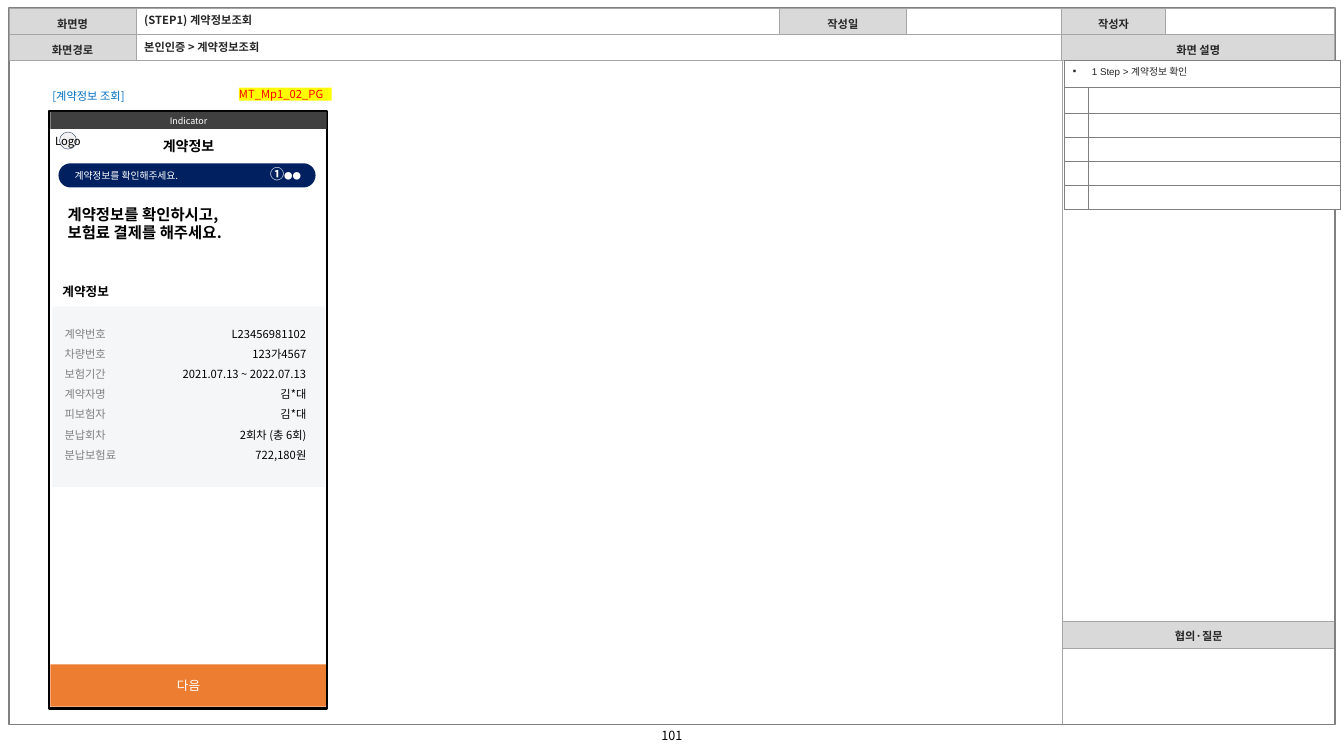
from lxml.etree import SubElement, fromstring
from pptx import Presentation
from pptx.dml.color import RGBColor
from pptx.enum.shapes import MSO_SHAPE
from pptx.enum.text import MSO_ANCHOR, MSO_AUTO_SIZE, PP_ALIGN
from pptx.oxml.ns import nsdecls, qn
from pptx.util import Inches, Pt

COLORS = {
    "white": "FFFFFF", "black": "000000", "ink": "262626", "header": "D9D9D9",
    "grid": "A6A6A6", "gray": "808080", "navy": "002060", "panel": "F5F6F8",
    "link": "0070C0", "orange": "ED7D31", "bar": "404040", "logo": "F2F2F2",
    "logo_line": "1E3256", "yellow": "FFFF00", "red": "FF0000",
}
FONT = "Noto Sans CJK KR"
CONTRACT = [
    ("계약번호", "L23456981102"),
    ("차량번호", "123가4567"),
    ("보험기간", "2021.07.13 ~ 2022.07.13"),
    ("계약자명", "김*대"),
    ("피보험자", "김*대"),
    ("분납회차", "2회차 (총 6회)"),
    ("분납보험료", "722,180원"),
]


def rgb(name):
    return RGBColor.from_string(COLORS[name])


def write_text(frame, text, size=8, color="black", bold=False, font=FONT,
               align=PP_ALIGN.LEFT, anchor=MSO_ANCHOR.TOP, wrap=False,
               margins=(0, 0, 0, 0), spacing=None, after=0, tail=None):
    frame.auto_size = MSO_AUTO_SIZE.NONE
    frame.word_wrap = wrap
    frame.vertical_anchor = anchor
    frame.margin_left, frame.margin_top, frame.margin_right, frame.margin_bottom = map(Inches, margins)
    for index, line in enumerate(text.split("\n")):
        paragraph = frame.paragraphs[0] if index == 0 else frame.add_paragraph()
        paragraph.alignment = align
        paragraph.space_after = Pt(after)
        if spacing:
            paragraph.line_spacing = spacing
        for words, points in [(line, size)] + ([tail] if tail else []):
            run = paragraph.add_run()
            run.text = words
            run.font.name, run.font.size, run.font.bold = font, Pt(points), bold
            run.font.color.rgb = rgb(color)
            SubElement(run._r.get_or_add_rPr(), qn("a:ea"), typeface=FONT)


def add_label(slide, left, top, width, height, text, **style):
    box = slide.shapes.add_textbox(*map(Inches, (left, top, width, height)))
    write_text(box.text_frame, text, **style)


def add_box(slide, left, top, width, height, fill=None, line=None, weight=1,
            kind=MSO_SHAPE.RECTANGLE, text=None, **style):
    shape = slide.shapes.add_shape(kind, *map(Inches, (left, top, width, height)))
    shape.shadow.inherit = False
    if fill:
        shape.fill.solid()
        shape.fill.fore_color.rgb = rgb(fill)
    else:
        shape.fill.background()
    if line:
        shape.line.color.rgb = rgb(line)
        shape.line.width = Pt(weight)
    else:
        shape.line.fill.background()
    if text:
        write_text(shape.text_frame, text, **style)
    return shape


def add_grid(slide, left, top, columns, rows, border, weight):
    frame = slide.shapes.add_table(
        len(rows), len(columns), *map(Inches, (left, top, sum(columns), sum(rows))))
    table = frame.table
    table.first_row = table.horz_banding = False
    for column, width in zip(table.columns, columns):
        column.width = Inches(width)
    for row, height in zip(table.rows, rows):
        row.height = Inches(height)
    for cell in table.iter_cells():
        cell.margin_top = cell.margin_bottom = Inches(0.02)
        properties = cell._tc.get_or_add_tcPr()
        for position, side in enumerate("LRTB"):
            properties.insert(position, fromstring(
                f'<a:ln{side} {nsdecls("a")} w="{int(Pt(weight))}"><a:solidFill>'
                f'<a:srgbClr val="{COLORS[border]}"/></a:solidFill></a:ln{side}>'))
        cell.fill.solid()
        cell.fill.fore_color.rgb = rgb("white")
        SubElement(cell.text_frame.paragraphs[0]._p, qn("a:endParaRPr"), sz="700")
    return table


def write_cell(cell, text, fill="header", margins=(0.04, 0.02, 0.04, 0.02), **style):
    settings = {"size": 8, "bold": True, "color": "ink", "align": PP_ALIGN.CENTER,
                "anchor": MSO_ANCHOR.MIDDLE, "wrap": True, **style}
    write_text(cell.text_frame, text, margins=margins, **settings)
    cell.margin_left, cell.margin_top, cell.margin_right, cell.margin_bottom = map(Inches, margins)
    cell.vertical_anchor = settings["anchor"]
    cell.fill.solid()
    cell.fill.fore_color.rgb = rgb(fill)


def add_page_frame(slide, left, top, width, height):
    side = add_grid(slide, left + 10.45, top + 0.51, [2.7], [5.58, 0.26, 0.76], "grid", 0.75)
    write_cell(side.cell(1, 0), "협의·질문")
    add_box(slide, left, top, width, height, line="gray")
    header = add_grid(slide, left, top, [1.26, 6.38, 1.26, 1.54, 1.03, 1.68], [0.26, 0.26], "grid", 0.75)
    header.cell(1, 1).merge(header.cell(1, 3))
    header.cell(1, 4).merge(header.cell(1, 5))
    labels = {(0, 0): "화면명", (0, 2): "작성일", (0, 4): "작성자",
              (1, 0): "화면경로", (1, 4): "화면 설명"}
    for (row, column), text in labels.items():
        write_cell(header.cell(row, column), text, margins=(0.19, 0.06, 0.19, 0.02))
    add_label(slide, 6.5, top + height + 0.03, 0.33, 0.15, "101", size=9, align=PP_ALIGN.CENTER)


def add_heading(slide, left, top):
    style = {"color": "ink", "bold": True, "anchor": MSO_ANCHOR.MIDDLE, "wrap": True,
             "margins": (0.04, 0, 0.04, 0)}
    title = slide.shapes.title
    title.left, title.top, title.width, title.height = map(Inches, (left, top, 6.24, 0.19))
    write_text(title.text_frame, "(STEP1) 계약정보조회", **style)
    add_label(slide, left, top + 0.27, 9.05, 0.19, "본인인증 > 계약정보조회", **style)


def add_phone(slide, left, top, width, height):
    middle = {"anchor": MSO_ANCHOR.MIDDLE}
    centered = {"align": PP_ALIGN.CENTER, **middle}
    add_label(slide, left + 0.03, top - 0.21, 0.82, 0.13, "[계약정보 조회]", color="link")
    banner = add_box(slide, left + 0.09, top + 0.52, 2.55, 0.24, fill="navy",
                     kind=MSO_SHAPE.ROUNDED_RECTANGLE)
    banner.adjustments[0] = 0.5
    add_label(slide, left + 0.25, top + 0.58, 1.14, 0.12, "계약정보를 확인해주세요.",
              size=7, color="white")
    add_label(slide, left + 2.19, top + 0.54, 0.31, 0.17, "①", size=10, color="white",
              bold=True, tail=("●●", 6), **middle)
    add_box(slide, left + 0.03, top + 1.94, 2.7, 1.79, fill="panel")
    names, values = ("\n".join(column) for column in zip(*CONTRACT))
    add_label(slide, left + 0.15, top + 2.08, 0.56, 1.41, names, color="gray", spacing=1.5)
    add_label(slide, left + 1.19, top + 2.08, 1.36, 1.41, values, align=PP_ALIGN.RIGHT, spacing=1.5)
    add_label(slide, left + 0.13, top + 1.72, 0.5, 0.15, "계약정보", size=9, bold=True)
    add_box(slide, left + 0.01, top + height - 0.44, width - 0.01, 0.42, fill="orange",
            text="다음", size=9, color="white", after=2, **centered)
    add_box(slide, left, top, width, height, line="black", weight=1.5)
    add_box(slide, left + 0.01, top + 0.01, width - 0.01, 0.17, fill="bar",
            text="Indicator", size=6.4, color="white", **centered)
    add_label(slide, left + 0.18, top + 0.93, 1.69, 0.37,
              "계약정보를 확인하시고,\n보험료 결제를 해주세요.", size=11, bold=True, **middle)
    add_label(slide, left + 1.1, top + 0.26, 0.56, 0.17, "계약정보", size=10, bold=True, **centered)
    add_box(slide, left + 0.1, top + 0.21, 0.17, 0.17, fill="logo", line="logo_line",
            weight=0.25, kind=MSO_SHAPE.OVAL, text="Logo", **centered)
    add_box(slide, left + 1.88, top - 0.23, 0.92, 0.13, fill="yellow",
            text="MT_Mp1_02_PG", color="red")


def add_description(slide, left, top):
    table = add_grid(slide, left, top, [0.19, 2.5], [0.26, 0.26] + [0.24] * 4, "gray", 0.25)
    note = table.cell(0, 0)
    note.merge(table.cell(0, 1))
    write_cell(note, "1 Step > 계약정보 확인", fill="white", margins=(0, 0.04, 0, 0.04),
               size=7, bold=False, font="Arial", align=PP_ALIGN.LEFT, anchor=MSO_ANCHOR.TOP)
    properties = note.text_frame.paragraphs[0]._p.get_or_add_pPr()
    properties.set("marL", str(Inches(0.28)))
    properties.set("indent", str(-Inches(0.19)))
    SubElement(properties, qn("a:buFont"), typeface="Arial")
    SubElement(properties, qn("a:buChar"), char="▪")


def main():
    presentation = Presentation()
    presentation.slide_width, presentation.slide_height = Inches(13.33), Inches(7.5)
    slide = presentation.slides.add_slide(presentation.slide_layouts[5])
    add_page_frame(slide, 0.09, 0.08, 13.15, 7.11)
    add_heading(slide, 1.39, 0.1)
    add_phone(slide, 0.49, 1.1, 2.75, 5.93)
    add_description(slide, 10.55, 0.6)
    title = slide.shapes.title._element
    title.getparent().append(title)
    presentation.save("out.pptx")


if __name__ == "__main__":
    main()
